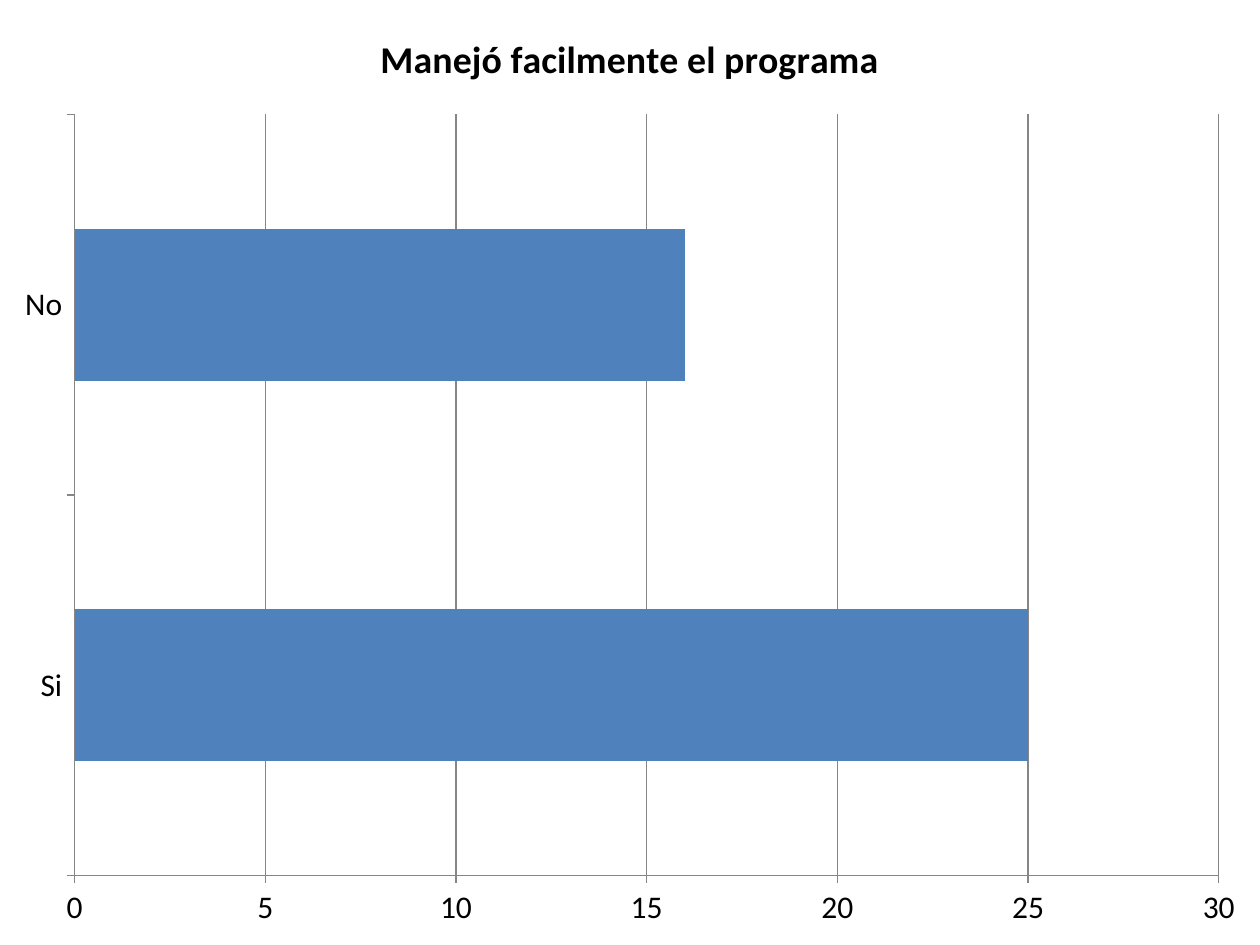
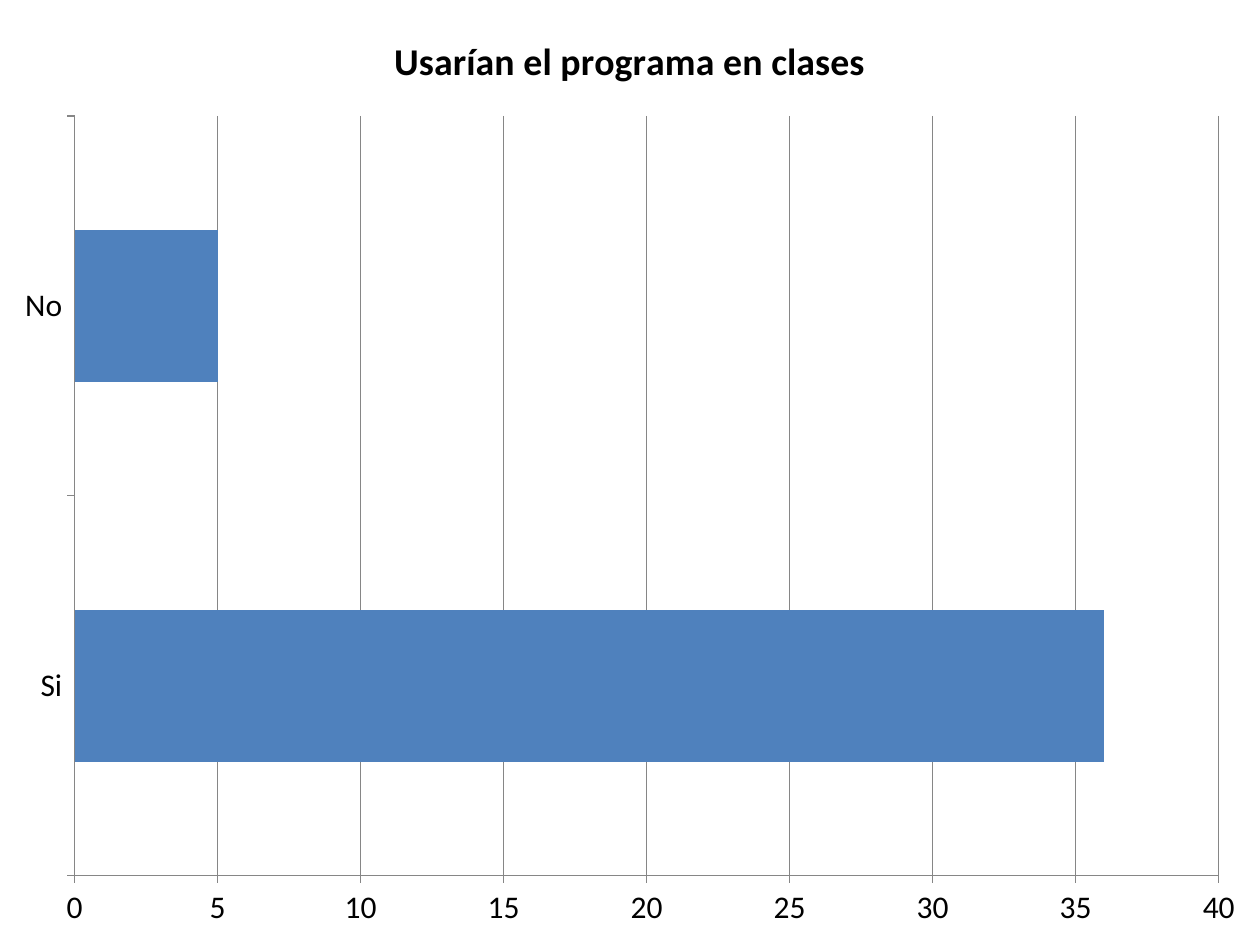
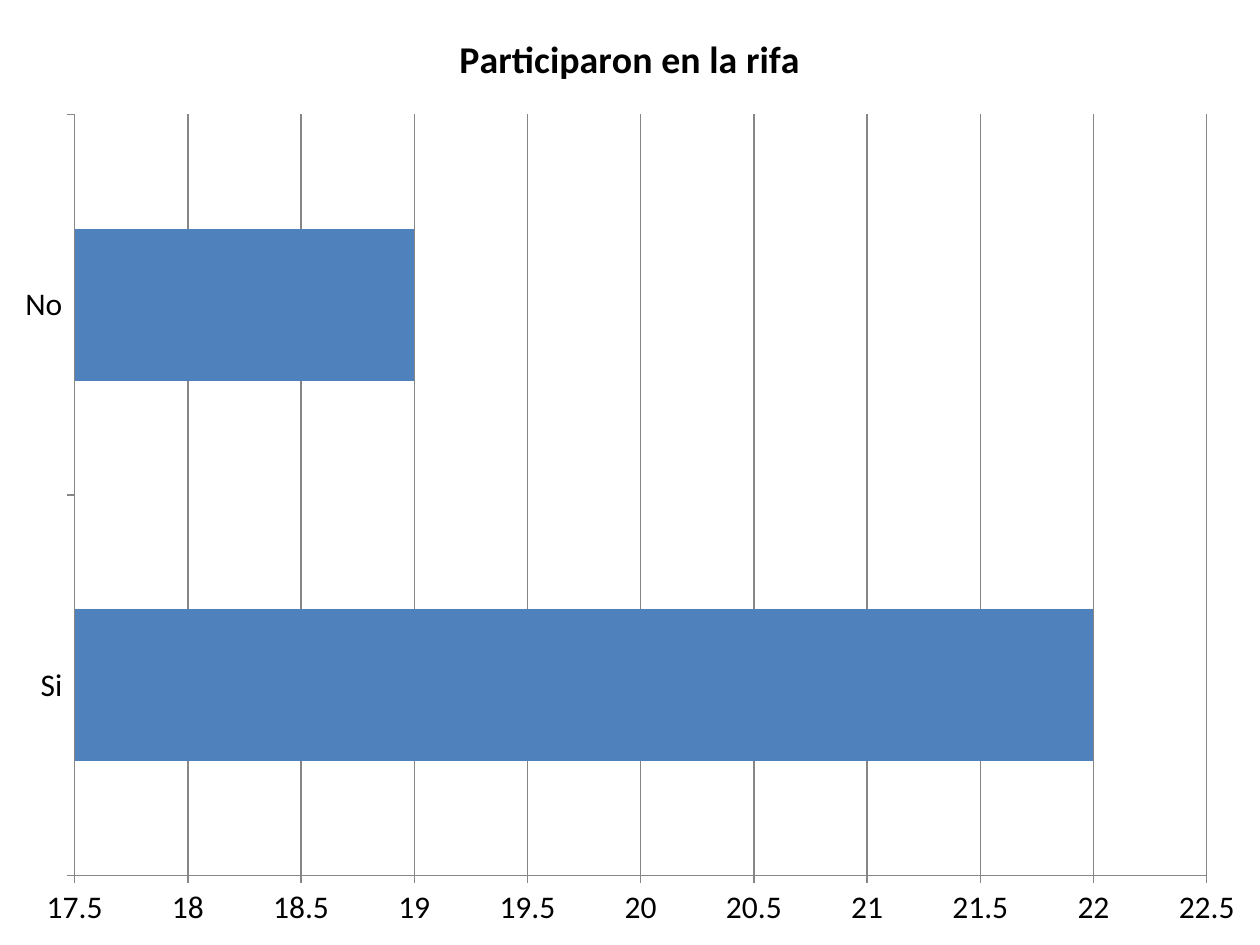
from pptx import Presentation
from pptx.chart.data import CategoryChartData
from pptx.dml.color import RGBColor
from pptx.enum.chart import XL_CHART_TYPE, XL_TICK_MARK
from pptx.util import Cm, Pt

BLUE = RGBColor(0x4F, 0x81, 0xBD)
GREY = RGBColor(0x86, 0x86, 0x86)
BLACK = RGBColor(0, 0, 0)
FACE = "Calibri"
WIDE, HIGH = 25.4, 19.05
POLLS = [
    ("Manejó facilmente el programa", (25, 16), (0, 30, 5), 0),
    ("Usarían el programa en clases", (36, 5), (0, 40, 5), 0.03),
    ("Participaron en la rifa", (22, 19), (17.5, 22.5, 0.5), 0),
]


def set_font(font, size, bold=False):
    """Give a font the shared face and colour."""
    font.name = FACE
    font.size = Pt(size)
    font.bold = bold
    font.color.rgb = BLACK


def set_line(line):
    """Draw a line thin and grey."""
    line.color.rgb = GREY
    line.width = Pt(0.75)


def add_title(chart, text):
    """Put a bold title above the plot."""
    chart.has_title = True
    run = chart.chart_title.text_frame.paragraphs[0].add_run()
    run.text = text
    set_font(run.font, 21.6, True)
    chart.chart_title.include_in_layout = False


def style_axes(chart, scale):
    """Style both axes and set the value scale."""
    for axis in (chart.category_axis, chart.value_axis):
        axis.major_tick_mark = XL_TICK_MARK.OUTSIDE
        axis.minor_tick_mark = XL_TICK_MARK.NONE
        set_line(axis.format.line)
    axis = chart.value_axis
    axis.minimum_scale, axis.maximum_scale, axis.major_unit = scale
    axis.has_major_gridlines = True
    set_line(axis.major_gridlines.format.line)
    axis.tick_labels.number_format = "General"
    axis.tick_labels.number_format_is_linked = False


def add_poll(slide, box, title, votes, scale):
    """Fill a box with the bar chart of one poll."""
    data = CategoryChartData()
    data.categories = ["Si", "No"]
    data.add_series(title, votes)
    frame = slide.shapes.add_chart(
        XL_CHART_TYPE.BAR_STACKED, *(Cm(side) for side in box), data)
    chart = frame.chart
    chart.has_legend = False
    set_font(chart.font, 18)
    add_title(chart, title)
    style_axes(chart, scale)
    plot = chart.plots[0]
    plot.gap_width = 150
    plot.overlap = 100
    plot.vary_by_categories = False
    fill = plot.series[0].format.fill
    fill.solid()
    fill.fore_color.rgb = BLUE


def main():
    """Build one slide for each poll."""
    deck = Presentation()
    deck.slide_width, deck.slide_height = Cm(WIDE), Cm(HIGH)
    for title, votes, scale, top in POLLS:
        slide = deck.slides.add_slide(deck.slide_layouts[6])
        add_poll(slide, (0, top, WIDE, HIGH - top), title, votes, scale)
    deck.save("out.pptx")


if __name__ == "__main__":
    main()
